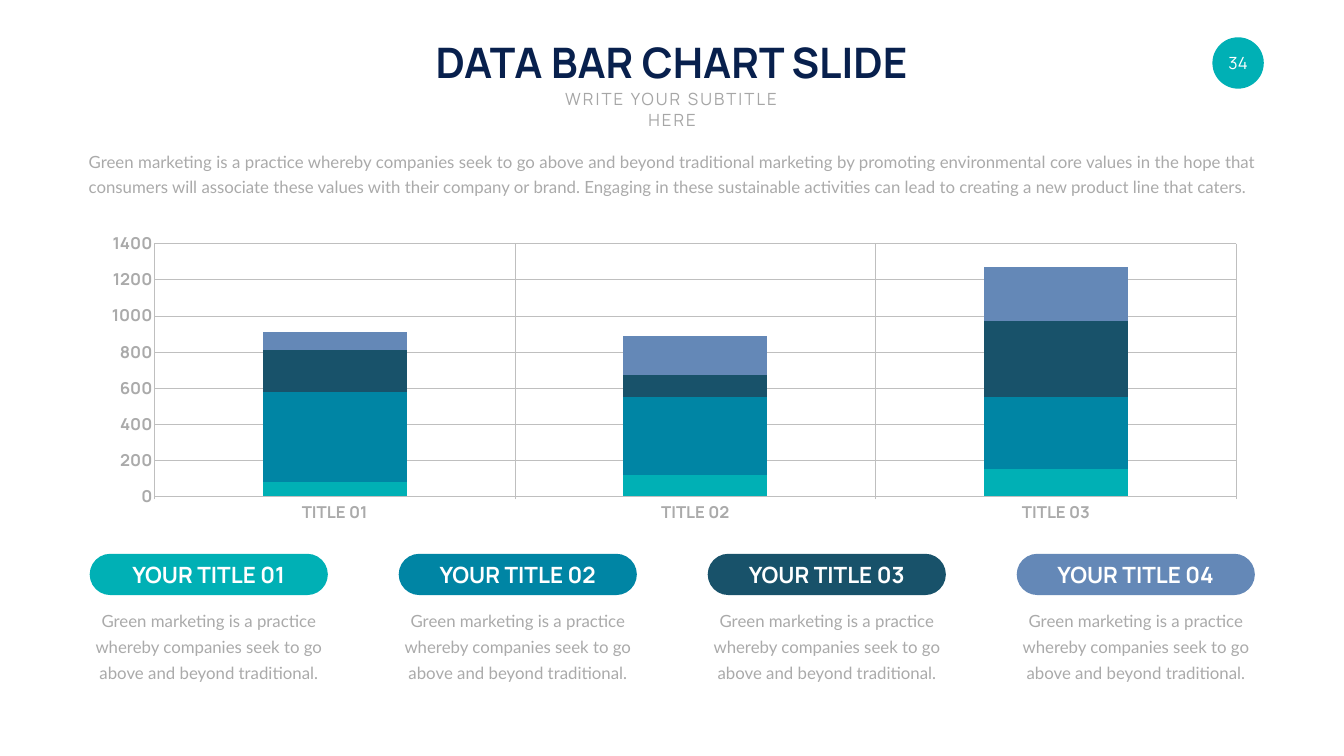
from lxml import etree
from pptx import Presentation
from pptx import util as u
from pptx.chart.data import CategoryChartData
from pptx.dml.color import RGBColor
from pptx.enum import chart as ch, shapes, text
from pptx.oxml import parse_xml
from pptx.oxml.ns import nsdecls

NAVY, WHITE, GREY, SUBTITLE, LINE = "08204D", "FFFFFF", "AAAAAA", "A6A6A6", "BFBFBF"
PALETTE = ["00B0B5", "0085A4", "18526A", "6488B7"]
CATEGORIES = ["TITLE 01", "TITLE 02", "TITLE 03"]
VALUES = [(80, 120, 150), (500, 430, 400), (230, 120, 420), (100, 220, 300)]
INTRO = (
    "Green marketing is a practice whereby companies seek to go above and beyond "
    "traditional marketing by promoting environmental core values in the hope that "
    "consumers will associate these values with their company or brand. Engaging in "
    "these sustainable activities can lead to creating a new product line that caters."
)
BLURB = "Green marketing is a practice whereby companies seek to go above and beyond traditional."


def rgb(value):
    return RGBColor.from_string(value)


def box(*lengths):
    return [u.Cm(v) for v in lengths]


def apply(target, values):
    for name, value in values.items():
        setattr(target, name, value)


class Deck:
    styles = {
        "title": {"name": "Manrope", "size": u.Pt(60), "bold": True},
        "plain": {"name": "Manrope", "size": u.Pt(24), "bold": False},
        "label": {"name": "Manrope", "size": u.Pt(32), "bold": True},
        "axis": {"name": "Manrope", "size": u.Pt(24), "bold": True},
        "body": {"name": "Lato", "size": u.Pt(24), "bold": False},
    }

    def __init__(self, prs):
        self.s = prs.slides.add_slide(prs.slide_layouts[6])

    def add_words(self, tf, words, style, color, align=text.PP_ALIGN.CENTER, leading=None, spacing=None):
        p = tf.paragraphs[0]
        apply(p, {"alignment": align, "line_spacing": leading})
        r = p.add_run()
        r.text = words
        apply(r.font, self.styles[style])
        r.font.color.rgb = rgb(color)
        if spacing:
            r.font._element.set("spc", str(spacing))

    def text_box(self, at, words, style, color, wrap=True, **layout):
        tf = self.s.shapes.add_textbox(*box(*at)).text_frame
        apply(tf, {"word_wrap": wrap, "auto_size": text.MSO_AUTO_SIZE.SHAPE_TO_FIT_TEXT})
        self.add_words(tf, words, style, color, **layout)

    def badge(self, kind, at, fill, words, style):
        sp = self.s.shapes.add_shape(kind, *box(*at))
        sp.shadow.inherit = False
        sp.fill.solid()
        sp.fill.fore_color.rgb = rgb(fill)
        sp.line.fill.background()
        if len(sp.adjustments):
            sp.adjustments[0] = 0.5
        tf = sp.text_frame
        apply(tf, {"word_wrap": False, "vertical_anchor": text.MSO_ANCHOR.MIDDLE})
        apply(tf, dict.fromkeys(["margin_left", "margin_right", "margin_top", "margin_bottom"], 0))
        self.add_words(tf, words, style, WHITE)

    def axis(self, axis, tick):
        apply(axis, {"has_major_gridlines": True, "major_tick_mark": tick})
        apply(axis.tick_labels.font, self.styles["axis"])
        axis.tick_labels.font.color.rgb = rgb(GREY)
        for line in (axis.format.line, axis.major_gridlines.format.line):
            line.color.rgb = rgb(LINE)
            line.width = u.Pt(0.75)

    def stacked_chart(self, at, categories, rows, colors, plot_area):
        data = CategoryChartData()
        data.categories = categories
        for i, row in enumerate(rows, 1):
            data.add_series(f"Series {i}", row)
        chart = self.s.shapes.add_chart(ch.XL_CHART_TYPE.COLUMN_STACKED, *box(*at), data).chart
        apply(chart, {"has_legend": False, "has_title": False})
        apply(chart.font, {"name": "Calibri", "size": u.Pt(18)})
        plot = chart.plots[0]
        apply(plot, {"gap_width": 150, "overlap": 100, "vary_by_categories": False})
        for series, color in zip(plot.series, colors):
            series.format.fill.solid()
            series.format.fill.fore_color.rgb = rgb(color)
        self.axis(chart.category_axis, ch.XL_TICK_MARK.OUTSIDE)
        self.axis(chart.value_axis, ch.XL_TICK_MARK.NONE)
        apply(chart.value_axis, {"minimum_scale": 0, "maximum_scale": 1400, "major_unit": 200})
        self.place_plot(chart, plot_area)

    def place_plot(self, chart, plot_area):
        layout = parse_xml(f"<c:layout {nsdecls('c')}><c:manualLayout/></c:layout>")
        settings = [("layoutTarget", "inner"), ("xMode", "edge"), ("yMode", "edge")]
        for tag, value in settings + list(zip("xywh", plot_area)):
            etree.SubElement(layout[0], layout.tag.replace("layout", tag)).set("val", str(value))
        area = chart._chartSpace.chart.plotArea
        for old in area.findall(layout.tag):
            area.remove(old)
        area.insert(0, layout)


def main():
    prs = Presentation()
    apply(prs, {"slide_width": u.Cm(67.72), "slide_height": u.Cm(38.1)})
    deck = Deck(prs)
    leading = u.Pt(37)

    deck.badge(shapes.MSO_SHAPE.OVAL, (61.09, 1.88, 2.59, 2.59), PALETTE[0], "34", "plain")
    deck.text_box((21.18, 1.7, 25.32, 2.82), "DATA BAR CHART SLIDE", "title", NAVY, wrap=False)
    deck.text_box((26.97, 4.37, 13.79, 1.27), "WRITE YOUR SUBTITLE HERE", "plain", SUBTITLE, spacing=300)
    deck.stacked_chart((4.22, 11.71, 59.26, 14.68), CATEGORIES, VALUES, PALETTE, (0.06, 0.02, 0.92, 0.89))
    deck.text_box((4.22, 7.21, 59.26, 2.74), INTRO, "body", GREY,
                  align=text.PP_ALIGN.JUSTIFY, leading=leading)

    left, pitch, width = 4.52, 15.57, 12
    for i, color in enumerate(PALETTE):
        x = left + i * pitch
        deck.badge(shapes.MSO_SHAPE.ROUNDED_RECTANGLE, (x, 27.91, width, 2.08), color,
                   f"YOUR TITLE {i + 1:02}", "label")
        deck.text_box((x, 30.35, width, 4.06), BLURB, "body", GREY, leading=leading)

    prs.save("out.pptx")


if __name__ == "__main__":
    main()
